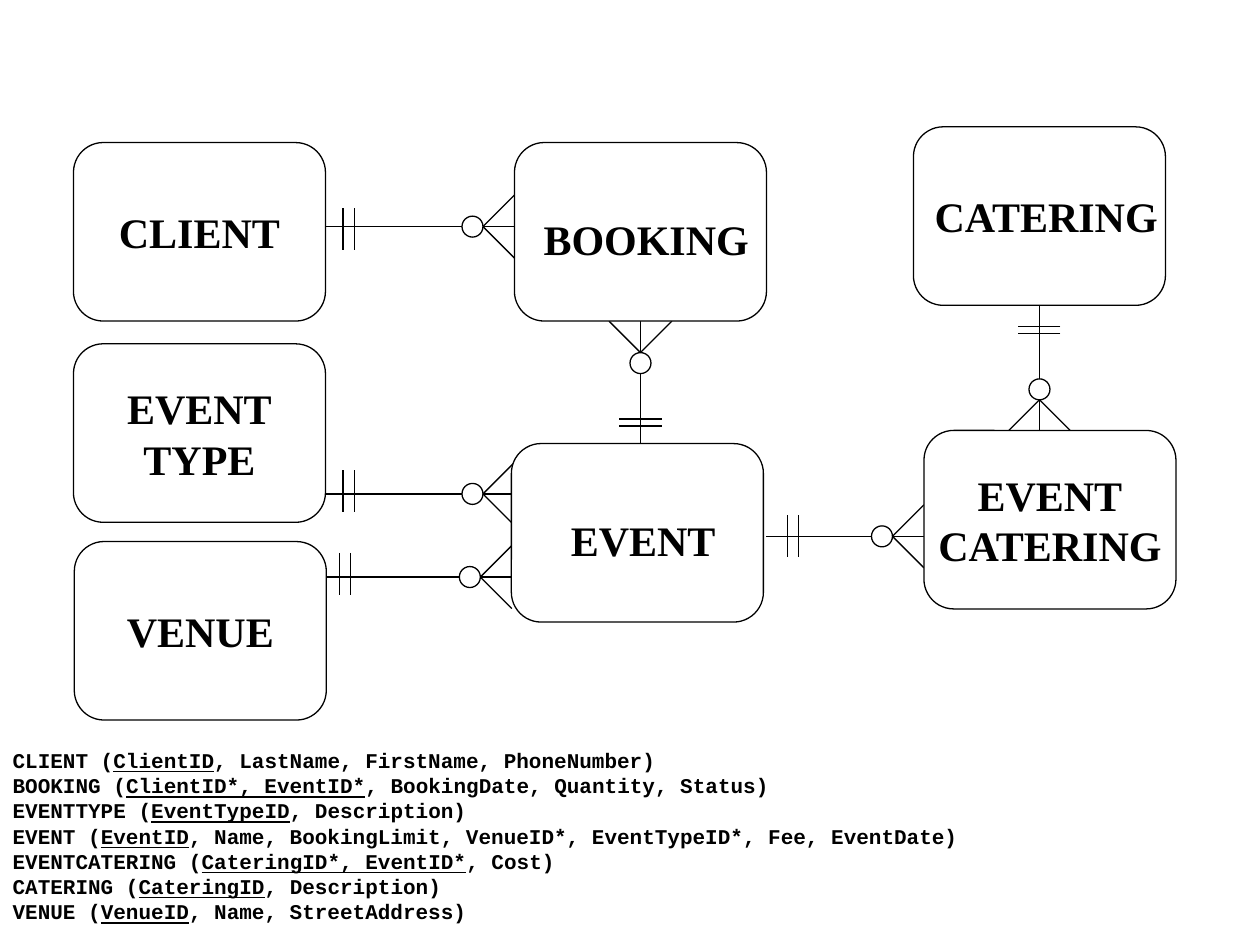
from math import hypot

from lxml import etree
from pptx import Presentation
from pptx.dml.color import RGBColor
from pptx.enum import shapes, text
from pptx.oxml import ns
from pptx.util import Pt

COLORS = {"ink": "000000", "paper": "FFFFFF"}
LINE_W = 0.75
BOX_W, BOX_H = 144, 102
PRONG = 18
CIRCLE = 12
BAR = 24

# left, top, lines of the name, alignment
ENTITIES = [
    (42, 81.5, ["CLIENT"], text.PP_ALIGN.CENTER),
    (42, 196.5, ["EVENT", "TYPE"], text.PP_ALIGN.CENTER),
    (42.5, 309.5, ["VENUE"], text.PP_ALIGN.CENTER),
    (522, 72.5, ["CATERING"], text.PP_ALIGN.LEFT),
    (528, 246, ["EVENT", "CATERING"], text.PP_ALIGN.CENTER),
]
# left, top, name held in a label of its own
LABELLED_ENTITIES = [(294, 81.5, "BOOKING"), (292.25, 253.5, "EVENT")]

# "one" end, "many" end, distances of the two bars from the "one" end, bar shift
RELATIONS = [
    ((186, 129.5), (294, 129.5), (10, 16.5), 1.5),
    ((186, 282.25), (294, 282.25), (10, 16.5), -1.5),
    ((184.5, 329.75), (292.5, 329.75), (9.5, 15.75), -1.75),
    ((438, 306.5), (528, 306.5), (12, 18.25), 0),
    ((366, 255.5), (366, 183.5), (12, 16), 0),
    ((594, 174.5), (594, 246.5), (12, 16), 0),
]

# table, key, other columns
SCHEMAS = [
    ("CLIENT", "ClientID", "LastName, FirstName, PhoneNumber"),
    ("BOOKING", "ClientID*, EventID*", "BookingDate, Quantity, Status"),
    ("EVENTTYPE", "EventTypeID", "Description"),
    ("EVENT", "EventID",
     "Name, BookingLimit, VenueID*, EventTypeID*, Fee, EventDate"),
    ("EVENTCATERING", "CateringID*, EventID*", "Cost"),
    ("CATERING", "CateringID", "Description"),
    ("VENUE", "VenueID", "Name, StreetAddress"),
]


def color(name):
    return RGBColor.from_string(COLORS[name])


def add_run(p, words, font, size, underline=False):
    r = p.add_run()
    r.text = words
    r.font.name = font
    r.font.size = Pt(size)
    r.font.bold = True
    r.font.underline = underline
    r.font.color.rgb = color("ink")


def paragraphs(tf, count):
    return [tf.paragraphs[0]] + [tf.add_paragraph() for _ in range(count - 1)]


def write_name(tf, lines, align):
    for p, line in zip(paragraphs(tf, len(lines)), lines):
        p.alignment = align
        add_run(p, line, "Times New Roman", 24)


def add_outline(slide, kind, left, top, width, height):
    """Add a white preset shape with a thin black outline."""
    sp = slide.shapes.add_shape(kind, Pt(left), Pt(top), Pt(width), Pt(height))
    sp.shadow.inherit = False
    sp.fill.solid()
    sp.fill.fore_color.rgb = color("paper")
    sp.line.color.rgb = color("ink")
    sp.line.width = Pt(LINE_W)
    return sp


def add_box(slide, left, top):
    return add_outline(slide, shapes.MSO_SHAPE.FLOWCHART_ALTERNATE_PROCESS,
                       left, top, BOX_W, BOX_H)


def add_entity(slide, left, top, lines, align):
    tf = add_box(slide, left, top).text_frame
    tf.word_wrap = False
    tf.vertical_anchor = text.MSO_ANCHOR.MIDDLE
    write_name(tf, lines, align)


def add_labelled_entity(slide, left, top, name):
    add_box(slide, left, top)
    label = slide.shapes.add_textbox(Pt(left + 5), Pt(top + 37), Pt(140.5), Pt(36))
    tf = label.text_frame
    tf.word_wrap = True
    write_name(tf, [name], text.PP_ALIGN.CENTER)


def add_line(slide, start, end):
    line = slide.shapes.add_connector(
        shapes.MSO_CONNECTOR.STRAIGHT, *(Pt(v) for v in (*start, *end)))
    line.line.color.rgb = color("ink")
    line.line.width = Pt(LINE_W)
    etree.SubElement(line._element.spPr, ns.qn("a:effectLst"))


def add_relation(slide, one, many, bars, shift):
    """Draw a one-to-many link: two bars at one end, circle and crow's foot at the other."""
    dx, dy = many[0] - one[0], many[1] - one[1]
    length = hypot(dx, dy)
    ux, uy = dx / length, dy / length

    def at(along, across=0):
        return (one[0] + ux * along - uy * across,
                one[1] + uy * along + ux * across)

    add_line(slide, one, many)
    for d in bars:
        add_line(slide, at(d, shift - BAR / 2), at(d, shift + BAR / 2))
    for side in (-PRONG, PRONG):
        add_line(slide, at(length - PRONG), at(length, side))
    x, y = at(length - PRONG - CIRCLE / 2)
    add_outline(slide, shapes.MSO_SHAPE.OVAL,
                x - CIRCLE / 2, y - CIRCLE / 2, CIRCLE, CIRCLE)


def fill_schemas(body):
    body.left, body.top, body.width, body.height = Pt(0), Pt(423.5), Pt(720), Pt(108)
    tf = body.text_frame
    tf.word_wrap = True
    tf.auto_size = text.MSO_AUTO_SIZE.NONE
    for p, (table, key, columns) in zip(paragraphs(tf, len(SCHEMAS)), SCHEMAS):
        p.space_before = Pt(0)
        pPr = p._p.get_or_add_pPr()
        pPr.set("marL", "0")
        pPr.set("indent", "0")
        etree.SubElement(pPr, ns.qn("a:buNone"))
        add_run(p, f"{table} (", "Courier New", 12)
        add_run(p, key, "Courier New", 12, underline=True)
        add_run(p, f", {columns})", "Courier New", 12)


def main():
    prs = Presentation()
    prs.slide_width, prs.slide_height = Pt(720), Pt(540)
    slide = prs.slides.add_slide(prs.slide_layouts[1])
    title = slide.shapes.title._element
    title.getparent().remove(title)

    fill_schemas(slide.placeholders[1])
    for relation in RELATIONS:
        add_relation(slide, *relation)
    for entity in ENTITIES:
        add_entity(slide, *entity)
    for entity in LABELLED_ENTITIES:
        add_labelled_entity(slide, *entity)
    prs.save("out.pptx")


if __name__ == "__main__":
    main()
